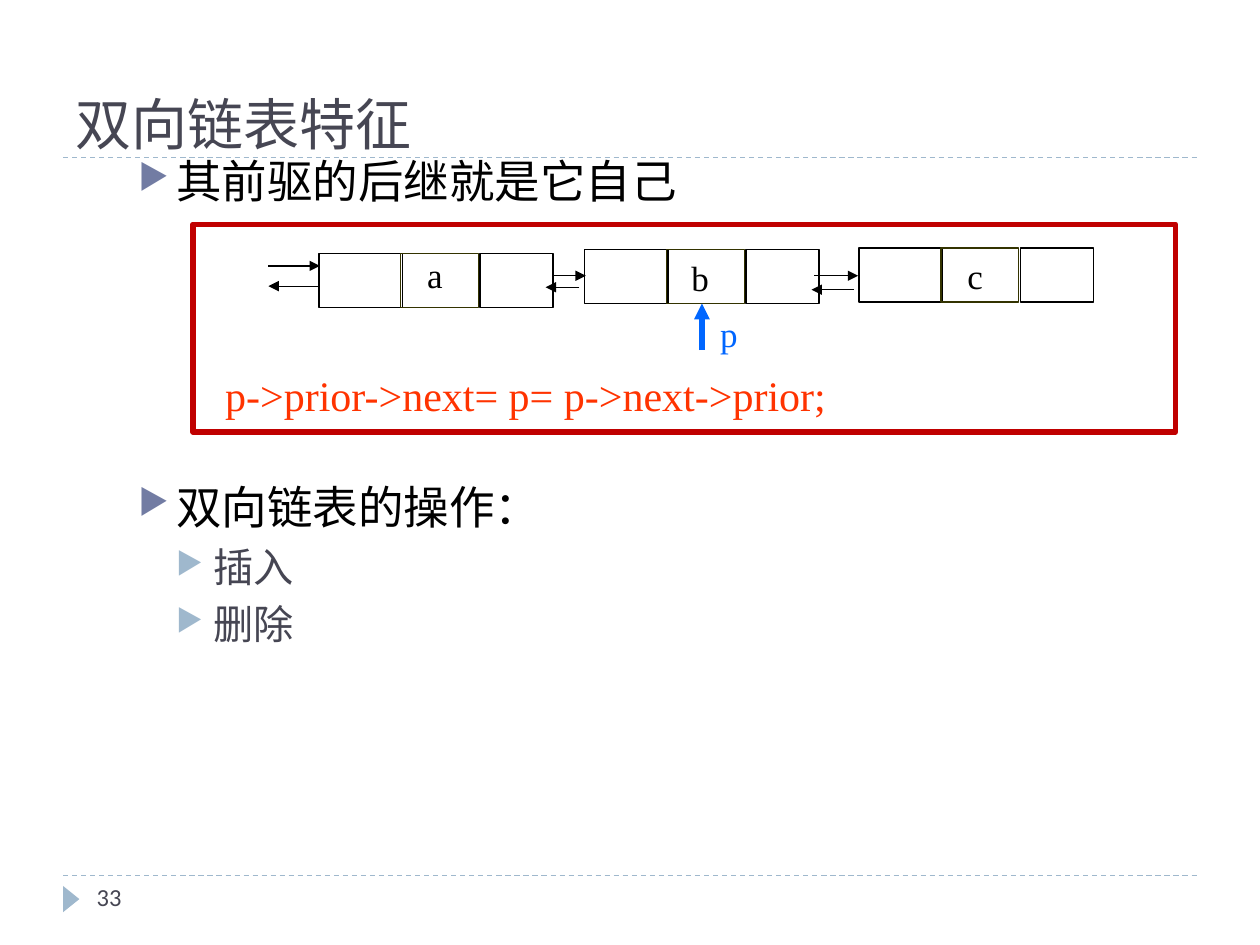
from dataclasses import dataclass

from pptx import Presentation
from pptx.dml.color import RGBColor
from pptx.enum.dml import MSO_LINE
from pptx.enum.shapes import MSO_CONNECTOR, MSO_SHAPE
from pptx.enum.text import MSO_ANCHOR
from pptx.oxml.ns import qn
from pptx.util import Cm, Pt
from lxml import etree

STRAIGHT = MSO_CONNECTOR.STRAIGHT
RECTANGLE = MSO_SHAPE.RECTANGLE
TRIANGLE = MSO_SHAPE.ISOSCELES_TRIANGLE
DASH = MSO_LINE.DASH
TOP, MIDDLE, BOTTOM = MSO_ANCHOR.TOP, MSO_ANCHOR.MIDDLE, MSO_ANCHOR.BOTTOM


@dataclass(frozen=True)
class Theme:
    heading_font: str = "Noto Sans CJK SC"
    body_font: str = "Calibri"
    diagram_font: str = "Times New Roman"
    title_size: float = 32
    bullet_size: float = 26
    sub_bullet_size: float = 23
    code_size: float = 24
    label_size: float = 20
    number_size: float = 14
    thin: float = 0.75
    thick: float = 3
    black: str = "000000"
    white: str = "FFFFFF"
    slate: str = "464653"
    marker: str = "727CA3"
    pale: str = "9FB8CD"
    olive: str = "333300"
    frame: str = "C00000"
    pointer: str = "0066FF"
    code: str = "FF3300"


THEME = Theme()

# Node geometry in cm: offset, width and outline of each cell
CELL_HEIGHT = 1.09
CELLS = [(0, 1.68, THEME.black), (1.65, 1.57, THEME.olive), (3.25, 1.47, THEME.black)]
# Node left and top, then its letter with left, top and width
NODES = [
    (6.43, 5.11, "a", 8.36, 4.98, 0.81),
    (11.79, 5.03, "b", 13.69, 5.03, 0.86),
    (17.32, 5.00, "c", 19.25, 5.00, 0.81),
]
# Start x, end x and height of the arrows between nodes
LINKS = [
    (5.41, 6.45, 5.36), (11.13, 11.81, 5.56), (16.41, 17.30, 5.56),
    (6.43, 5.41, 5.77), (11.68, 11.00, 5.79), (17.22, 16.36, 5.84),
]
# Text, level and space before in points
BULLETS = [
    ("其前驱的后继就是它自己", 0, 0),
    ("双向链表的操作：", 0, 155),
    ("插入", 1, 5),
    ("删除", 1, 5),
]


def set_font(paragraph, name, size, color):
    font = paragraph.font
    font.name, font.size = name, Pt(size)
    font.color.rgb = RGBColor.from_string(color)


def add_text_box(slide, left, top, width, height, anchor=TOP, wrap=True):
    shape = slide.shapes.add_textbox(Cm(left), Cm(top), Cm(width), Cm(height))
    frame = shape.text_frame
    frame.word_wrap = wrap
    frame.vertical_anchor = anchor
    return frame


def add_label(slide, text, box, name, size, color, anchor=MIDDLE, wrap=True):
    frame = add_text_box(slide, *box, anchor, wrap)
    paragraph = frame.paragraphs[0]
    paragraph.text = text
    set_font(paragraph, name, size, color)
    return frame


def add_letter(slide, text, left, top, width, color):
    add_label(slide, text, (left, top, width, 1.12), THEME.diagram_font,
              THEME.label_size, color, wrap=False)


def add_shape(slide, kind, left, top, width, height, fill=None, line=None, weight=THEME.thin):
    shape = slide.shapes.add_shape(kind, Cm(left), Cm(top), Cm(width), Cm(height))
    shape.shadow.inherit = False
    if fill:
        shape.fill.solid()
        shape.fill.fore_color.rgb = RGBColor.from_string(fill)
    else:
        shape.fill.background()
    if line:
        shape.line.color.rgb = RGBColor.from_string(line)
        shape.line.width = Pt(weight)
    else:
        shape.line.fill.background()
    return shape


def add_line(slide, start, end, color, weight=THEME.thin):
    connector = slide.shapes.add_connector(STRAIGHT, *map(Cm, start + end))
    connector.line.color.rgb = RGBColor.from_string(color)
    connector.line.width = Pt(weight)
    etree.SubElement(connector._element.spPr, qn("a:effectLst"))
    return connector


def add_arrow(slide, start, end, color, weight=THEME.thin):
    connector = add_line(slide, start, end, color, weight)
    etree.SubElement(connector.line._get_or_add_ln(), qn("a:tailEnd"), type="triangle")


def add_bullet(paragraph, text, level, space_before):
    paragraph.text = text
    paragraph.level = level
    paragraph.space_before = Pt(space_before)
    properties = paragraph._p.get_or_add_pPr()
    properties.set("marL", str(Cm(0.76 * (level + 1))))
    properties.set("indent", str(-Cm(0.76)))
    color = etree.SubElement(properties, qn("a:buClr"))
    etree.SubElement(color, qn("a:srgbClr"), val=(THEME.marker, THEME.pale)[level])
    etree.SubElement(properties, qn("a:buSzPct"), val="76000")
    etree.SubElement(properties, qn("a:buChar"), char="▶")
    set_font(paragraph, THEME.body_font,
             (THEME.bullet_size, THEME.sub_bullet_size)[level],
             (THEME.black, THEME.slate)[level])


def add_page_furniture(slide):
    for y in (17.65, 3.18):
        add_line(slide, (1.27, y), (24.13, y), THEME.pale).line.dash_style = DASH
    marker = add_shape(slide, TRIANGLE, 1.17, 17.96, 0.53, 0.33, fill=THEME.pale)
    marker.rotation = 90
    add_label(slide, "33", (1.7, 17.65, 5.51, 1.02), THEME.body_font,
              THEME.number_size, THEME.slate, TOP)


def add_title(slide):
    frame = add_label(slide, "双向链表特征", (1.27, 0.43, 22.86, 2.74),
                      THEME.heading_font, THEME.title_size, THEME.slate, BOTTOM)
    frame.margin_bottom = 0
    etree.SubElement(frame.paragraphs[0].font._rPr, qn("a:ea"), typeface=THEME.heading_font)


def add_body(slide):
    frame = add_text_box(slide, 2.54, 2.97, 22.43, 14.6)
    for index, bullet in enumerate(BULLETS):
        paragraph = frame.add_paragraph() if index else frame.paragraphs[0]
        add_bullet(paragraph, *bullet)


def add_diagram(slide):
    add_shape(slide, RECTANGLE, 3.89, 4.52, 19.81, 4.19,
              THEME.white, THEME.frame, THEME.thick)
    # Nodes and their letters
    for left, top, letter, *letter_box in NODES:
        for offset, width, outline in CELLS:
            add_shape(slide, RECTANGLE, left + offset, top, width, CELL_HEIGHT, line=outline)
        add_letter(slide, letter, *letter_box, THEME.black)
    # Links in both directions
    for start, end, y in LINKS:
        add_arrow(slide, (start, y), (end, y), THEME.black)
    # Pointer p and the identity it satisfies
    add_arrow(slide, (14.15, 7.06), (14.15, 6.12), THEME.pointer, THEME.thick)
    add_letter(slide, "p", 14.27, 6.17, 0.86, THEME.pointer)
    add_label(slide, "p->prior->next= p= p->next->prior;", (4.29, 7.32, 12.73, 1.27),
              THEME.diagram_font, THEME.code_size, THEME.code)


def main():
    presentation = Presentation()
    presentation.slide_width, presentation.slide_height = Cm(25.4), Cm(19.05)
    slide = presentation.slides.add_slide(presentation.slide_layouts[6])
    add_page_furniture(slide)
    add_title(slide)
    add_body(slide)
    add_diagram(slide)
    presentation.save("out.pptx")


if __name__ == "__main__":
    main()
